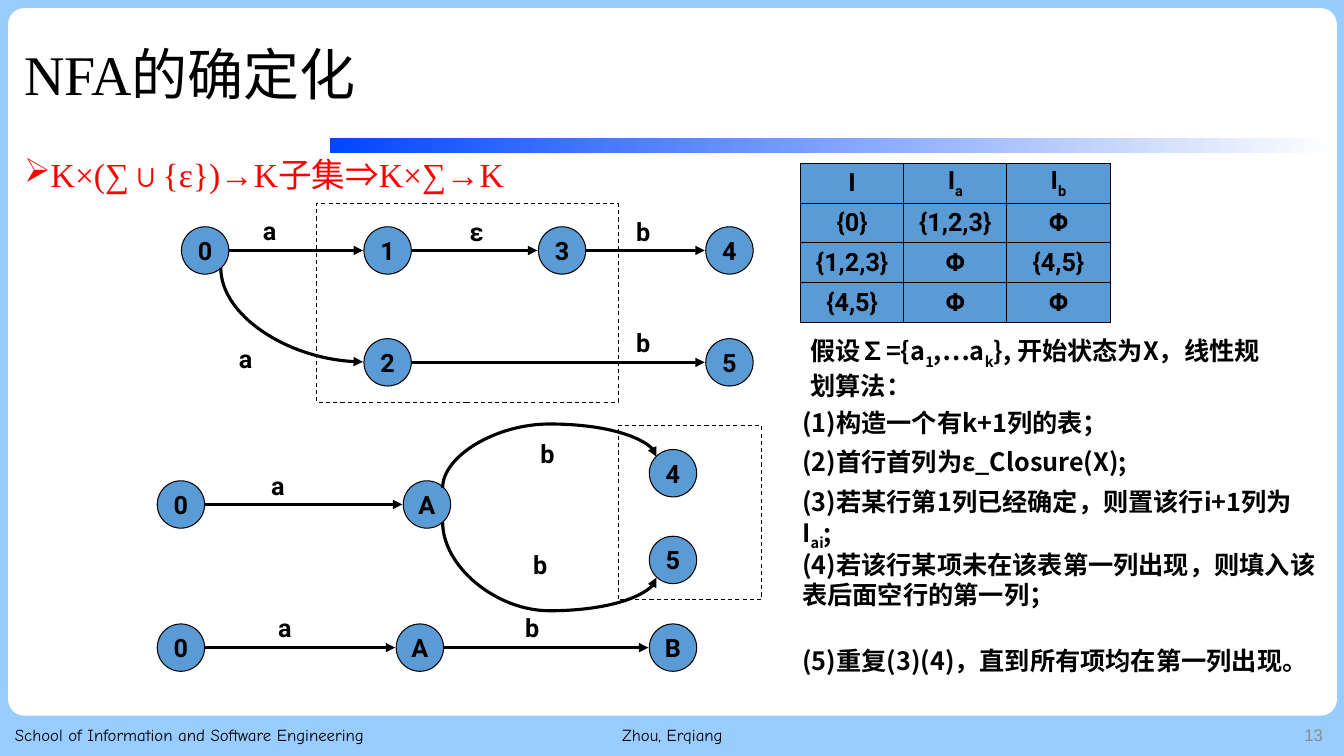
from dataclasses import dataclass

import lxml.etree
import pptx
import pptx.dml.color
import pptx.enum.dml
import pptx.enum.shapes
import pptx.enum.text
import pptx.oxml
import pptx.oxml.ns
import pptx.util

RGB = pptx.dml.color.RGBColor
SKY = RGB(0x99, 0xCC, 0xFF)
WHITE = RGB(0xFF, 0xFF, 0xFF)
ROYAL = RGB(0x00, 0x47, 0xFF)
BLACK = RGB(0, 0, 0)
RED = RGB(0xFF, 0, 0)
GREY = RGB(0x8C, 0x8C, 0x8C)
NODE_BLUE = RGB(0x5B, 0x9B, 0xD5)

SERIF, SANS, HAND, CJK = "Times New Roman", "Roboto", "Comic Neue", "Noto Sans CJK SC"
SHAPE = pptx.enum.shapes.MSO_SHAPE
CONNECTOR = pptx.enum.shapes.MSO_CONNECTOR
ALIGN = pptx.enum.text.PP_ALIGN
ANCHOR = pptx.enum.text.MSO_ANCHOR
PX = 9144  # EMU per px, 100 px to the inch
DIAMETER = 47


@dataclass(frozen=True)
class Span:
    text: str
    font: str = ""
    baseline: int = 0


@dataclass(frozen=True)
class Box:
    left: int
    top: int
    width: int
    height: int

    def emu(self) -> tuple[int, ...]:
        return tuple(value * PX for value in (self.left, self.top, self.width, self.height))


@dataclass(frozen=True)
class Node:
    name: str
    left: int
    top: int


@dataclass(frozen=True)
class Curve:
    start: tuple[int, int]
    end: tuple[int, int]
    preset: str
    bend: int = 0


@dataclass(frozen=True)
class Label:
    text: str
    left: int
    top: int


@dataclass(frozen=True)
class Note:
    spans: tuple[Span, ...]
    box: Box


def child(parent, tag: str, **attributes: str):
    element = lxml.etree.SubElement(parent, pptx.oxml.ns.qn(tag))
    for key, value in attributes.items():
        element.set(key, value)
    return element


def write(frame, text, *, font=SANS, size=18, color=BLACK, bold=False,
          align=ALIGN.LEFT, spacing=1.0, bullet="") -> None:
    """Write a string, or a tuple of spans, as the one paragraph of a frame."""
    para = frame.paragraphs[0]
    para.alignment, para.line_spacing = align, spacing
    if bullet:
        props = para._p.get_or_add_pPr()
        props.set("marL", str(25 * PX))
        props.set("indent", str(-25 * PX))
        child(props, "a:buChar", char=bullet)
    for span in (Span(text),) if isinstance(text, str) else text:
        run = para.add_run()
        run.text = span.text
        run.font.name, run.font.size = span.font or font, pptx.util.Pt(size)
        run.font.bold, run.font.color.rgb = bold, color
        child(run._r.get_or_add_rPr(), "a:ea", typeface=CJK)
        if span.baseline:
            run._r.get_or_add_rPr().set("baseline", str(span.baseline * 1000))


def add_text(page, box: Box, text, *, anchor=ANCHOR.TOP, **style) -> None:
    frame = page.shapes.add_textbox(*box.emu()).text_frame
    frame.word_wrap, frame.vertical_anchor = True, anchor
    write(frame, text, **style)


def add_shape(page, kind, box: Box, *, fill=None, outlined=False):
    shape = page.shapes.add_shape(kind, *box.emu())
    shape.shadow.inherit = False
    if fill is None:
        shape.fill.background()
    else:
        shape.fill.solid()
        shape.fill.fore_color.rgb = fill
    if outlined:
        shape.line.color.rgb, shape.line.width = BLACK, pptx.util.Pt(0.75)
    else:
        shape.line.fill.background()
    return shape


def add_node(page, node: Node) -> None:
    circle = add_shape(page, SHAPE.OVAL, Box(node.left, node.top, DIAMETER, DIAMETER),
                       fill=NODE_BLUE, outlined=True)
    circle.text_frame.word_wrap = False
    circle.text_frame.vertical_anchor = ANCHOR.MIDDLE
    write(circle.text_frame, node.name, bold=True, align=ALIGN.CENTER)


def add_arrow(page, kind, x1: float, y1: float, x2: float, y2: float):
    arrow = page.shapes.add_connector(kind, *(round(v * PX) for v in (x1, y1, x2, y2)))
    arrow.line.color.rgb, arrow.line.width = BLACK, pptx.util.Pt(2.25)
    child(arrow.line._get_or_add_ln(), "a:tailEnd", type="triangle")
    child(arrow._element.spPr, "a:effectLst")
    return arrow


def add_curve(page, curve: Curve) -> None:
    """Leave the start vertically: a quarter turn swaps the width and height."""
    (x1, y1), (x2, y2) = curve.start, curve.end
    mid_x, mid_y = (x1 + x2) / 2, (y1 + y2) / 2
    half_w, half_h = abs(y2 - y1) / 2, (x2 - x1) / 2
    falling = y2 > y1
    rise = -half_h if falling else half_h
    arrow = add_arrow(page, CONNECTOR.CURVE, mid_x - half_w, mid_y - rise,
                      mid_x + half_w, mid_y + rise)
    props = arrow._element.spPr
    props.find(pptx.oxml.ns.qn("a:xfrm")).set("rot", str((90 if falling else 270) * 60000))
    geometry = props.find(pptx.oxml.ns.qn("a:prstGeom"))
    geometry.set("prst", curve.preset)
    if curve.bend:
        guides = geometry.find(pptx.oxml.ns.qn("a:avLst"))
        child(guides, "a:gd", name="adj1", fmla=f"val {curve.bend}")


def add_state_table(page, box: Box, rows) -> None:
    table_frame = page.shapes.add_table(len(rows), len(rows[0]), *box.emu())
    for r, row in enumerate(rows):
        for c, text in enumerate(row):
            cell = table_frame.table.cell(r, c)
            cell.margin_left = cell.margin_right = cell.margin_top = cell.margin_bottom = 0
            cell.vertical_anchor = ANCHOR.MIDDLE
            write(cell.text_frame, text, bold=True, align=ALIGN.CENTER)
            props = cell._tc.get_or_add_tcPr()
            for side in ("a:lnL", "a:lnR", "a:lnT", "a:lnB"):
                border = child(props, side, w=str(pptx.util.Pt(0.75)))
                child(child(border, "a:solidFill"), "a:srgbClr", val=str(BLACK))
            cell.fill.solid()
            cell.fill.fore_color.rgb = NODE_BLUE


# Automata: each chain is a row of nodes joined by straight arrows
CHAINS = [
    [Node("0", 180, 225), Node("1", 361, 225), Node("3", 534, 225), Node("4", 700, 225)],
    [Node("2", 361, 336), Node("5", 700, 336)],
    [Node("0", 156, 477), Node("A", 400, 477)],
    [Node("4", 644, 446)],
    [Node("5", 644, 532)],
    [Node("0", 156, 619), Node("A", 393, 619), Node("B", 644, 619)],
]
CURVES = [
    Curve((219, 266), (360, 359), "curvedConnector2"),
    Curve((439, 484), (651, 453), "curvedConnector3", 204700),
    Curve((439, 518), (651, 573), "curvedConnector3", 159800),
]
LABELS = [
    Label("a", 251, 209), Label("a", 227, 336), Label("ε", 456, 210), Label("b", 621, 210),
    Label("b", 621, 320), Label("a", 259, 462), Label("b", 526, 430), Label("b", 519, 540),
    Label("b", 511, 603), Label("a", 266, 603),
]
SUBSETS = [Box(613, 422, 142, 173), Box(314, 202, 299, 197)]
STATE_ROWS = [
    ["I", (Span("I"), Span("a", baseline=-25)), (Span("I"), Span("b", baseline=-25))],
    ["{0}", "{1,2,3}", "Φ"],
    ["{1,2,3}", "Φ", "{4,5}"],
    ["{4,5}", "Φ", "Φ"],
]
NOTES = [
    Note((Span("假设∑={a"), Span("1", baseline=-25), Span(",…a"), Span("k", baseline=-25),
          Span("}, 开始状态为X，线性规划算法：")), Box(794, 328, 490, 71)),
    Note((Span("(1)构造一个有k+1列的表；"),), Box(786, 399, 533, 40)),
    Note((Span("(2)首行首列为ε_Closure(X);"),), Box(786, 438, 533, 40)),
    Note((Span("(3)若某行第1列已经确定，则置该行i+1列为I"), Span("ai", baseline=-25), Span(";")),
         Box(786, 478, 533, 71)),
    Note((Span("(4)若该行某项未在该表第一列出现，则填入该表后面空行的第一列；"),),
         Box(786, 540, 533, 71)),
    Note((Span("(5)重复(3)(4)，直到所有项均在第一列出现。"),), Box(786, 635, 533, 40)),
]


def main() -> None:
    deck = pptx.Presentation()
    deck.slide_width, deck.slide_height = 1333 * PX, 750 * PX
    page = deck.slides.add_slide(deck.slide_layouts[6])

    # Frame, title bar and footer
    page.background.fill.solid()
    page.background.fill.fore_color.rgb = SKY
    panel = add_shape(page, SHAPE.ROUNDED_RECTANGLE, Box(8, 8, 1318, 702), fill=WHITE)
    panel.adjustments[0] = 0.023
    bar = add_shape(page, SHAPE.RECTANGLE, Box(327, 137, 999, 15))
    bar.fill.gradient()
    bar.fill.gradient_angle = 0
    for stop, color in zip(bar.fill.gradient_stops, (ROYAL, WHITE)):
        stop.color.rgb = color
    add_text(page, Box(14, 15, 1257, 124), "NFA的确定化", font=SERIF, size=40,
             spacing=0.9, anchor=ANCHOR.MIDDLE)
    for box, text, font, color, align in (
        (Box(5, 709, 432, 40), "School of Information and Software Engineering", HAND, BLACK, ALIGN.LEFT),
        (Box(442, 709, 450, 40), "Zhou, Erqiang", HAND, BLACK, ALIGN.CENTER),
        (Box(1022, 709, 300, 40), "13", "Arial", GREY, ALIGN.RIGHT),
    ):
        add_text(page, box, text, font=font, size=12, color=color, align=align, anchor=ANCHOR.MIDDLE)
    add_text(page, Box(14, 152, 760, 48),
             (Span("K×(∑∪{ε})→K"), Span("子集", CJK), Span("⇒K×∑→K")),
             font=SERIF, size=24, color=RED, spacing=0.9, bullet="➢")

    # Automata
    for subset in SUBSETS:
        outline = add_shape(page, SHAPE.RECTANGLE, subset, outlined=True)
        outline.line.dash_style = pptx.enum.dml.MSO_LINE.DASH
    for chain in CHAINS:
        for node in chain:
            add_node(page, node)
        for start, end in zip(chain, chain[1:]):
            middle = start.top + DIAMETER / 2
            add_arrow(page, CONNECTOR.STRAIGHT, start.left + DIAMETER, middle, end.left - 1, middle)
    for curve in CURVES:
        add_curve(page, curve)
    for label in LABELS:
        add_text(page, Box(label.left, label.top, 39, 40), label.text, bold=True)

    # State table and algorithm steps
    add_state_table(page, Box(794, 162, 307, 158), STATE_ROWS)
    for note in NOTES:
        add_text(page, note.box, note.spans, font=CJK, bold=True)
    deck.save("out.pptx")


if __name__ == "__main__":
    main()
